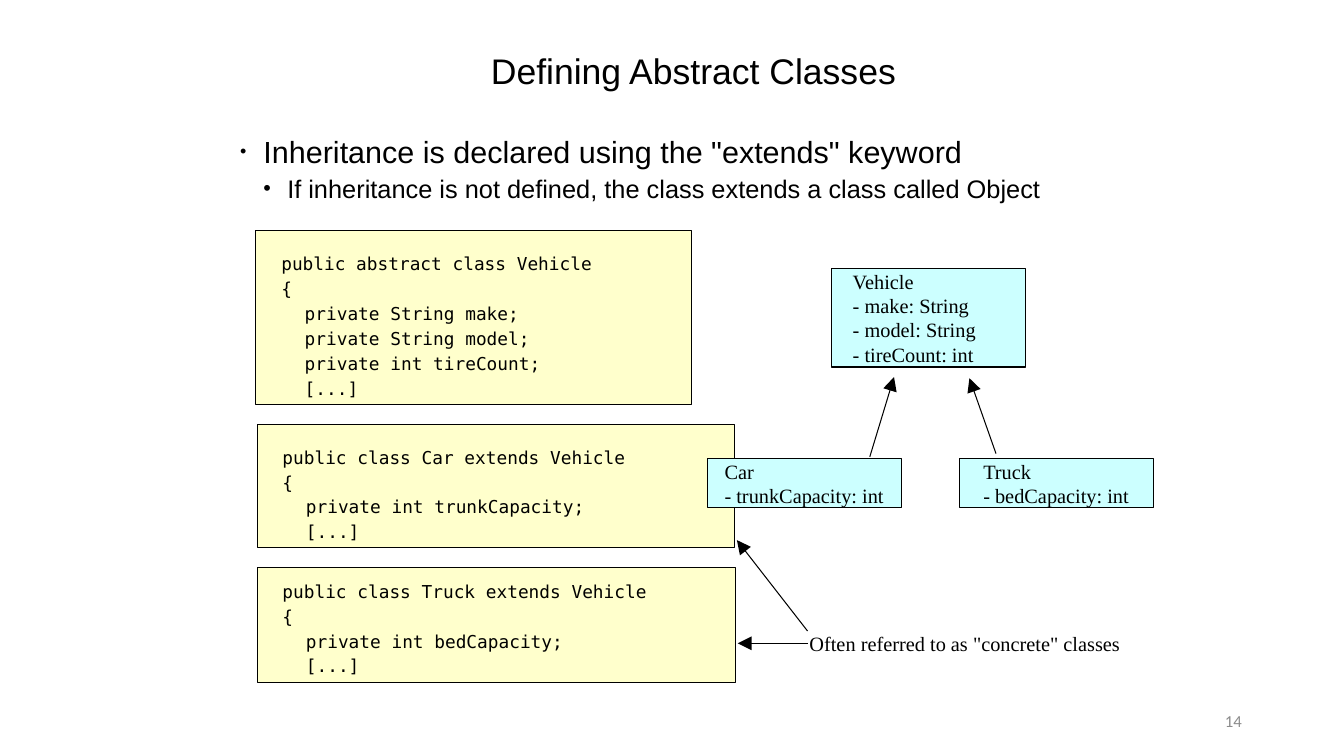
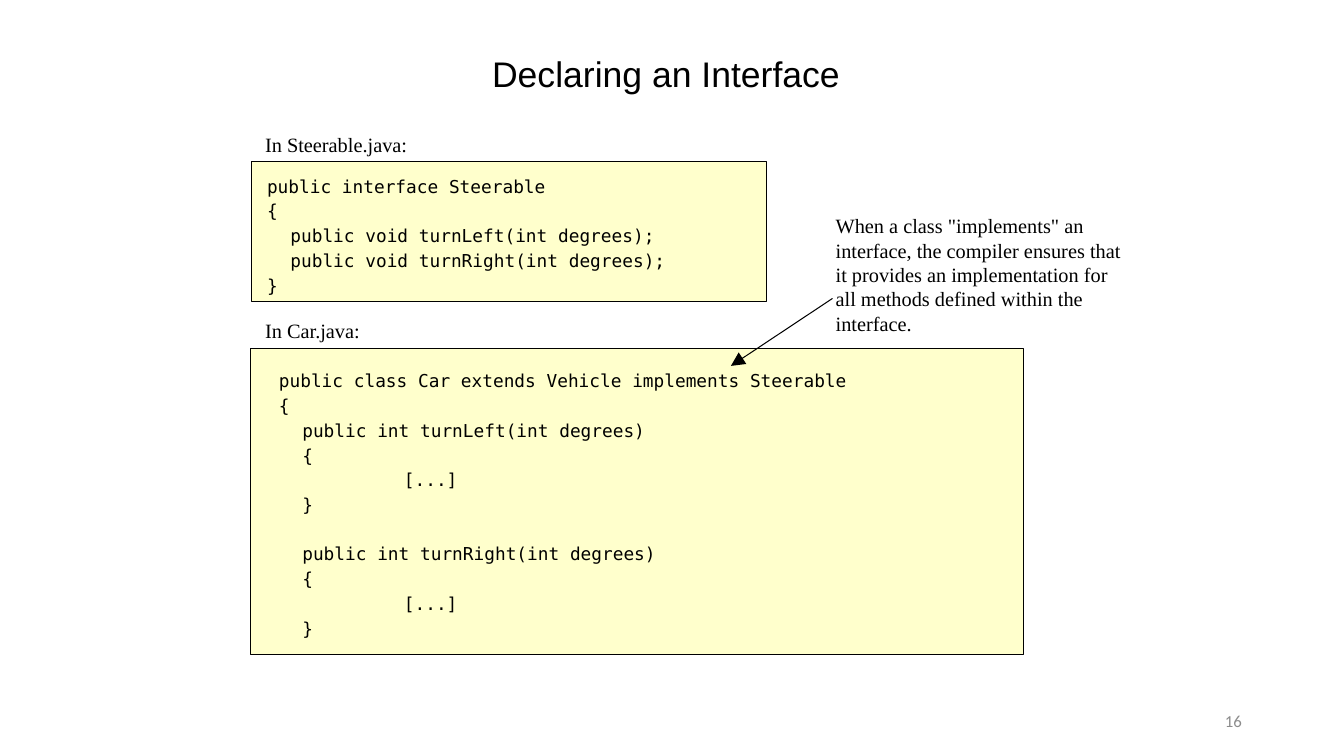
from lxml.etree import SubElement
from pptx import Presentation
from pptx.dml.color import RGBColor
from pptx.enum.shapes import MSO_CONNECTOR, MSO_SHAPE
from pptx.enum.text import MSO_ANCHOR, MSO_AUTO_SIZE, PP_ALIGN
from pptx.oxml.ns import qn
from pptx.util import Cm, Pt

# Shared style
BLACK, GREY, CODE_FILL, CLASS_FILL = "000000", "8C8C8C", "FFFFCC", "CCFFFF"
SANS, SERIF, MONO, NUMBER_FONT = "Arial", "Times New Roman", "DejaVu Sans Mono", "Calibri"
CODE_INDENTS = [0, 0.59, 3.15]  # by number of leading tabs
CODE_GAP, CODE_LINE = 2.5, 17.3
TITLE_HEIGHT = 1.09


def color(hex_text):
    return RGBColor.from_string(hex_text)


def write(shape, text, font=SERIF, size=14.5, ink=BLACK, align=PP_ALIGN.LEFT,
          anchor=MSO_ANCHOR.TOP, insets=(0, 0), gap=0, wrap=True):
    """Write one paragraph a line; leading tabs set the indent, an empty line adds a gap."""
    frame = shape.text_frame
    frame.auto_size, frame.word_wrap, frame.vertical_anchor = MSO_AUTO_SIZE.NONE, wrap, anchor
    frame.margin_left, frame.margin_top = Cm(insets[0]), Cm(insets[1])
    frame.margin_right = frame.margin_bottom = 0
    extra, paragraph = 0, None
    for line in text.split("\n"):
        if not line:
            extra += CODE_LINE
            continue
        paragraph = frame.add_paragraph() if paragraph else frame.paragraphs[0]
        words = line.lstrip("\t")
        run = paragraph.add_run()
        run.text = words
        run.font.name, run.font.size = font, Pt(size)
        run.font.color.rgb = color(ink)
        paragraph.alignment = align
        paragraph.space_before = Pt(gap + extra)
        indent = CODE_INDENTS[len(line) - len(words)]
        paragraph._p.get_or_add_pPr().set("marL", str(Cm(indent)))
        extra = 0
    return frame.paragraphs


# Content: places are left, top, width, height in cm
slides = [
    {
        "title": ("Defining Abstract Classes", 12.37, 1.24, 10.57),
        "number": "14",
        # text, size, left indent, hanging, bullet size in percent
        "bullets": [
            ('Inheritance is declared using the "extends" keyword', 21.8, 0.59, 0.59, 59),
            ("If inheritance is not defined, the class extends a class called Object",
             18.1, 1.19, 0.6, 85),
        ],
        # place, text insets, fill, text
        "boxes": [
            ((6.45, 5.82, 10.97, 4.37), (0.64, 0.56), CODE_FILL,
             "public abstract class Vehicle\n{\n\tprivate String make;\n"
             "\tprivate String model;\n\tprivate int tireCount;\n\t[...]"),
            ((6.48, 10.69, 12.04, 3.12), (0.64, 0.56), CODE_FILL,
             "public class Car extends Vehicle\n{\n\tprivate int trunkCapacity;\n\t[...]"),
            ((6.5, 14.3, 12.04, 2.9), (0.62, 0.33), CODE_FILL,
             "public class Truck extends Vehicle\n{\n\tprivate int bedCapacity;\n\t[...]"),
            ((20.96, 6.76, 4.88, 2.49), (0.53, 0), CLASS_FILL,
             "Vehicle\n- make: String\n- model: String\n- tireCount: int"),
            ((17.83, 11.56, 4.88, 1.24), (0.43, 0), CLASS_FILL,
             "Car\n- trunkCapacity: int"),
            ((24.18, 11.56, 4.88, 1.24), (0.6, 0), CLASS_FILL,
             "Truck\n- bedCapacity: int"),
        ],
        "notes": [((20.4, 15.9, 7.92, 0.61), 'Often referred to as "concrete" classes', False)],
        "arrows": [
            (21.92, 11.51, 22.53, 9.5),
            (25.1, 11.43, 24.43, 9.53),
            (20.35, 16.21, 18.59, 16.21),
            (20.35, 15.9, 18.57, 13.61),
        ],
    },
    {
        "title": ("Declaring an Interface", 12.4, 1.3, 12.17),
        "number": "16",
        "bullets": [],
        "boxes": [
            ((6.35, 4.06, 12.98, 3.53), (0.38, 0.36), CODE_FILL,
             "public interface Steerable\n{\n\tpublic void turnLeft(int degrees);\n"
             "\tpublic void turnRight(int degrees);\n}"),
            ((6.32, 8.79, 19.48, 7.7), (0.71, 0.53), CODE_FILL,
             "public class Car extends Vehicle implements Steerable\n{\n"
             "\tpublic int turnLeft(int degrees)\n\t{\n\t\t[...]\n\t}\n\n"
             "\tpublic int turnRight(int degrees)\n\t{\n\t\t[...]\n\t}"),
        ],
        "notes": [
            ((6.68, 3.33, 3.63, 0.61), "In Steerable.java:", False),
            ((6.68, 8.03, 2.41, 0.61), "In Car.java:", False),
            ((21.06, 5.38, 7.35, 3.1),
             'When a class "implements" an interface, the compiler ensures that it provides '
             "an implementation for all methods defined within the interface.", True),
        ],
        "arrows": [(20.98, 7.52, 18.42, 9.22)],
    },
]

presentation = Presentation()
presentation.slide_width, presentation.slide_height = Cm(33.87), Cm(19.05)

for content in slides:
    slide = presentation.slides.add_slide(presentation.slide_layouts[5])
    shapes = slide.shapes

    # Title
    text, left, top, width = content["title"]
    title = shapes.title
    title.left, title.top, title.width, title.height = map(Cm, (left, top, width, TITLE_HEIGHT))
    write(title, text, font=SANS, size=25.4)

    # Bullets
    if content["bullets"]:
        body = shapes.add_textbox(Cm(6.05), Cm(3.35), Cm(21.59), Cm(2.77))
        lines = "\n".join(bullet[0] for bullet in content["bullets"])
        paragraphs = write(body, lines, font=SANS, gap=2.5)
        for level, (paragraph, bullet) in enumerate(zip(paragraphs, content["bullets"])):
            _, size, indent, hanging, percent = bullet
            paragraph.level = level
            paragraph.runs[0].font.size = Pt(size)
            properties = paragraph._p.get_or_add_pPr()
            properties.set("marL", str(Cm(indent)))
            properties.set("indent", str(-Cm(hanging)))
            SubElement(properties, qn("a:buSzPct"), val=str(percent * 1000))
            SubElement(properties, qn("a:buFont"), typeface=SANS)
            SubElement(properties, qn("a:buChar"), char="•")

    # Code and class boxes
    for place, insets, fill, text in content["boxes"]:
        box = shapes.add_shape(MSO_SHAPE.RECTANGLE, *map(Cm, place))
        box.shadow.inherit = False
        box.fill.solid()
        box.fill.fore_color.rgb = color(fill)
        box.line.color.rgb = color(BLACK)
        box.line.width = Pt(0.75)
        if fill == CODE_FILL:
            write(box, text, font=MONO, size=12.7, insets=insets, gap=CODE_GAP)
        else:
            write(box, text, insets=insets, anchor=MSO_ANCHOR.MIDDLE)

    # Notes and labels
    for place, text, wrap in content["notes"]:
        write(shapes.add_textbox(*map(Cm, place)), text, wrap=wrap)

    # Arrows
    for ends in content["arrows"]:
        arrow = shapes.add_connector(MSO_CONNECTOR.STRAIGHT, *map(Cm, ends))
        arrow.line.color.rgb = color(BLACK)
        arrow.line.width = Pt(0.75)
        SubElement(arrow.line._get_or_add_ln(), qn("a:tailEnd"), type="triangle", w="lg", len="lg")
        SubElement(arrow._element.spPr, qn("a:effectLst"))

    # Slide number
    number = shapes.add_textbox(Cm(23.93), Cm(17.65), Cm(7.62), Cm(1.02))
    write(number, content["number"], font=NUMBER_FONT, size=12, ink=GREY,
          align=PP_ALIGN.RIGHT, anchor=MSO_ANCHOR.MIDDLE)
    number.text_frame.margin_right = Cm(0.25)

presentation.save("out.pptx")
